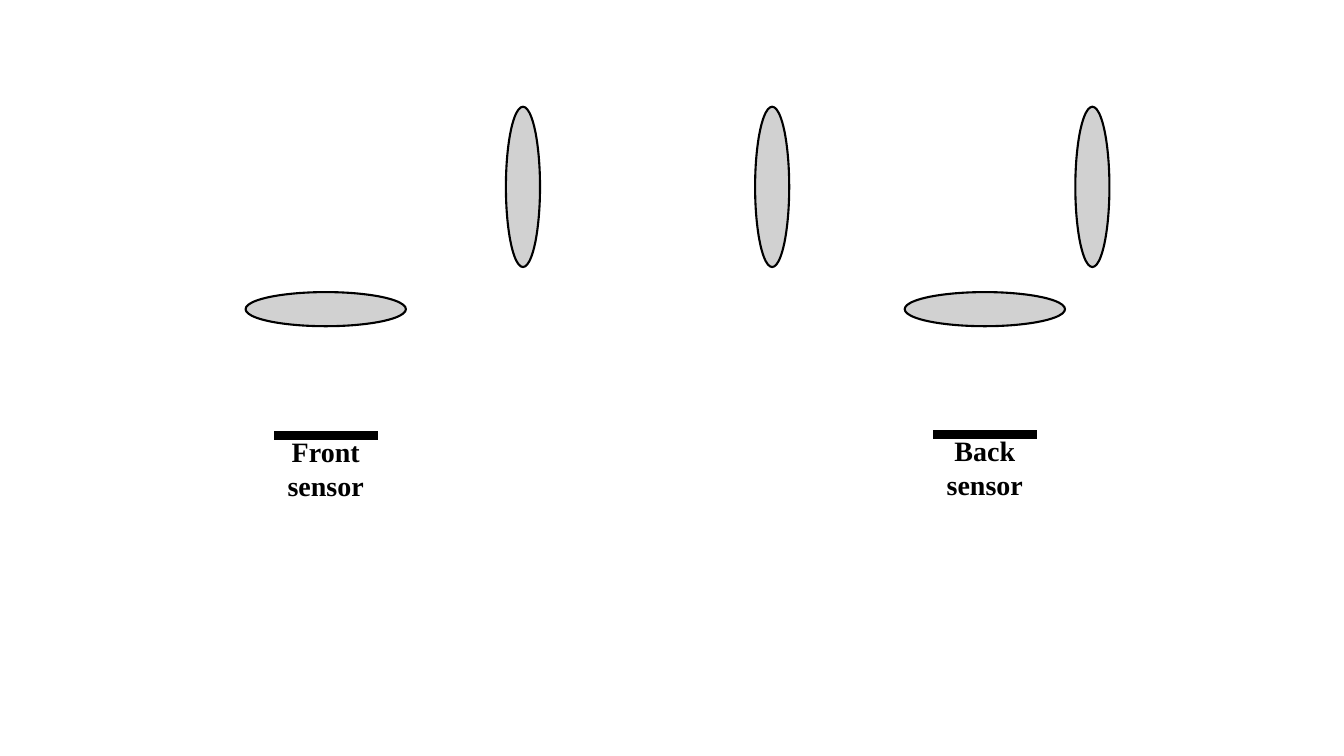
import pptx
import pptx.dml.color
import pptx.enum.shapes
import pptx.enum.text
import pptx.util
from lxml import etree
from pptx.util import Cm, Pt

# Centres in cm: (x, y, rotation in degrees)
LENSES = [
    (13.18, 4.71, 0),
    (19.46, 4.71, 0),
    (27.53, 4.71, 0),
    (8.21, 7.79, 270),
    (24.82, 7.79, 270),
]
# Label, centre x and bar height on the slide in cm
SENSORS = [("Front sensor", 8.21, 10.97), ("Back sensor", 24.82, 10.95)]

LENS_WIDTH, LENS_HEIGHT = 0.86, 4.04
BAR_LENGTH = 2.62
LABEL_WIDTH, LABEL_HEIGHT = 4.06, 1.96
LABEL_RISE = 0.14  # the label box starts this far above its bar

THEME = {
    "font": "Times New Roman",
    "label_size": Pt(20),
    "ink": pptx.dml.color.RGBColor.from_string("000000"),
    "lens": pptx.dml.color.RGBColor.from_string("D1D1D1"),
    "lens_line": Pt(1.5),
    "bar_line": Pt(6),
}


def style_line(line, width):
    line.color.rgb = THEME["ink"]
    line.width = width


def add_lens(slide, center_x, center_y, rotation):
    lens = slide.shapes.add_shape(
        pptx.enum.shapes.MSO_SHAPE.OVAL,
        Cm(center_x - LENS_WIDTH / 2), Cm(center_y - LENS_HEIGHT / 2),
        Cm(LENS_WIDTH), Cm(LENS_HEIGHT))
    lens.rotation = rotation
    lens.shadow.inherit = False
    lens.fill.solid()
    lens.fill.fore_color.rgb = THEME["lens"]
    style_line(lens.line, THEME["lens_line"])


def add_sensor(slide, label, center_x, bar_y):
    """Add the sensor bar and the label below it."""
    bar = slide.shapes.add_connector(
        pptx.enum.shapes.MSO_CONNECTOR.STRAIGHT,
        Cm(center_x + BAR_LENGTH / 2), Cm(bar_y),
        Cm(center_x - BAR_LENGTH / 2), Cm(bar_y))
    style_line(bar.line, THEME["bar_line"])
    etree.SubElement(bar._element.spPr, pptx.oxml.ns.qn("a:effectLst"))

    box = slide.shapes.add_textbox(
        Cm(center_x - LABEL_WIDTH / 2), Cm(bar_y - LABEL_RISE),
        Cm(LABEL_WIDTH), Cm(LABEL_HEIGHT))
    text_frame = box.text_frame
    text_frame.word_wrap = True
    text_frame.auto_size = pptx.enum.text.MSO_AUTO_SIZE.SHAPE_TO_FIT_TEXT
    text_frame.text = label
    paragraph = text_frame.paragraphs[0]
    paragraph.alignment = pptx.enum.text.PP_ALIGN.CENTER
    font = paragraph.runs[0].font
    font.name = THEME["font"]
    font.size = THEME["label_size"]
    font.bold = True
    font.color.rgb = THEME["ink"]


def main():
    presentation = pptx.Presentation()
    presentation.slide_width = Cm(33.87)
    presentation.slide_height = Cm(19.05)
    slide = presentation.slides.add_slide(presentation.slide_layouts[6])
    for lens in LENSES:
        add_lens(slide, *lens)
    for sensor in SENSORS:
        add_sensor(slide, *sensor)
    presentation.save("out.pptx")


if __name__ == "__main__":
    main()
